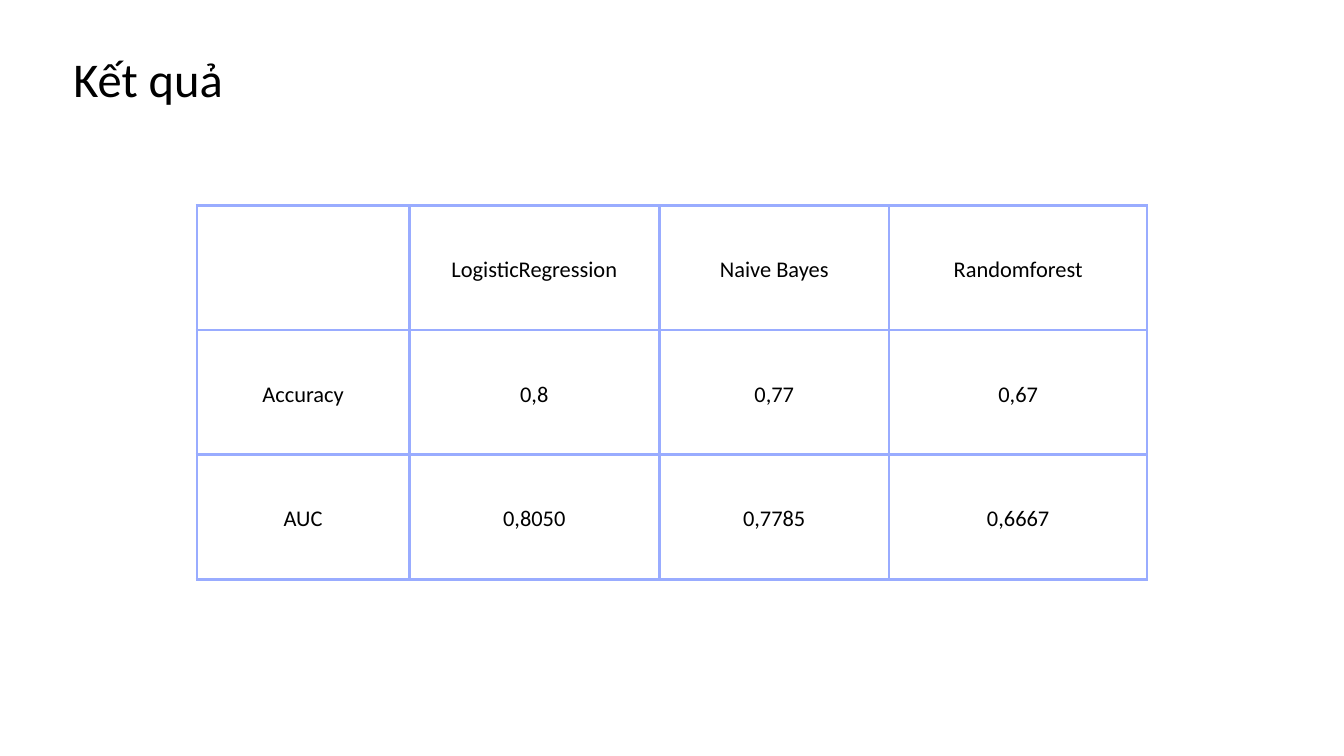
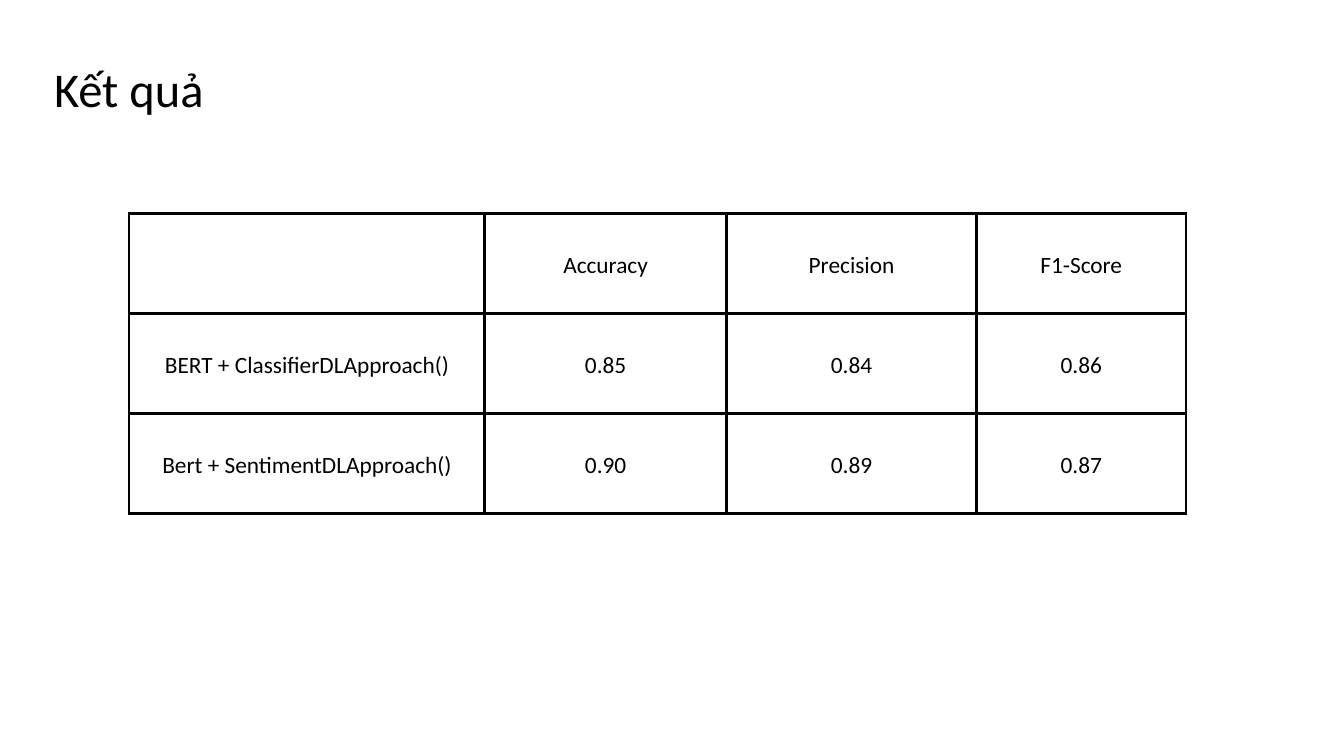
from lxml.etree import SubElement
from pptx import Presentation
from pptx.dml.color import RGBColor
from pptx.enum.text import MSO_ANCHOR, MSO_AUTO_SIZE, PP_ALIGN
from pptx.oxml.ns import qn
from pptx.util import Cm, Pt

# Shared look
FONT = "Calibri"
BLACK = "000000"
TITLE = "Kết quả"
TITLE_SIZE = 52
LINE_SPACING = 1.4
BORDER_WIDTH = Pt(3)
CELL_FORMAT = {
    "vertical_anchor": MSO_ANCHOR.MIDDLE,
    "margin_left": Cm(0.53),
    "margin_right": Cm(0.53),
    "margin_top": Cm(0.53),
    "margin_bottom": Cm(0.53),
}
TITLE_FORMAT = {
    "word_wrap": True,
    "auto_size": MSO_AUTO_SIZE.SHAPE_TO_FIT_TEXT,
    "margin_left": 0,
    "margin_right": 0,
    "margin_top": 0,
    "margin_bottom": 0,
}

# One entry per slide, lengths in centimetres
RESULTS = [
    {
        "title_at": (2.41, 1.5),
        "table_at": (7.44, 7.77),
        "columns": [8.03, 9.45, 8.69, 9.75],
        "row_height": 4.71,
        "border": "99ACFF",
        "size": 24,
        "rows": [
            ["", "LogisticRegression", "Naive Bayes", "Randomforest"],
            ["Accuracy", "0,8", "0,77", "0,67"],
            ["AUC", "0,8050", "0,7785", "0,6667"],
        ],
    },
    {
        "title_at": (1.68, 1.85),
        "table_at": (4.88, 8.08),
        "columns": [13.44, 9.14, 9.45, 7.92],
        "row_height": 3.78,
        "border": BLACK,
        "size": 25,
        "rows": [
            ["", "Accuracy", "Precision", "F1-Score"],
            ["BERT + ClassifierDLApproach()", "0.85", "0.84", "0.86"],
            ["Bert + SentimentDLApproach()", "0.90", "0.89", "0.87"],
        ],
    },
]


def write_text(text_frame, text, size):
    paragraph = text_frame.paragraphs[0]
    paragraph.alignment = PP_ALIGN.CENTER
    paragraph.line_spacing = Pt(size * LINE_SPACING)
    run = paragraph.add_run()
    run.text = text
    run.font.name = FONT
    run.font.size = Pt(size)
    run.font.color.rgb = RGBColor.from_string(BLACK)


def add_borders(cell, color):
    properties = cell._tc.get_or_add_tcPr()
    for position, side in enumerate(["lnL", "lnR", "lnT", "lnB"]):
        line = SubElement(properties, qn(f"a:{side}"), w=str(BORDER_WIDTH))
        fill = SubElement(line, qn("a:solidFill"))
        SubElement(fill, qn("a:srgbClr"), val=color)
        properties.insert(position, line)  # borders come before the cell fill


presentation = Presentation()
presentation.slide_width = Cm(50.8)
presentation.slide_height = Cm(28.58)

for result in RESULTS:
    slide = presentation.slides.add_slide(presentation.slide_layouts[6])

    # Results table
    rows, columns = result["rows"], result["columns"]
    left, top = result["table_at"]
    table = slide.shapes.add_table(
        len(rows), len(columns), Cm(left), Cm(top),
        Cm(sum(columns)), Cm(result["row_height"] * len(rows)),
    ).table
    table.first_row = False
    table.horz_banding = False
    for column, width in zip(table.columns, columns):
        column.width = Cm(width)
    for row, texts in zip(table.rows, rows):
        row.height = Cm(result["row_height"])
        for cell, text in zip(row.cells, texts):
            for name, value in CELL_FORMAT.items():
                setattr(cell, name, value)
            cell.fill.background()
            add_borders(cell, result["border"])
            if text:
                write_text(cell.text_frame, text, result["size"])

    # Title
    left, top = result["title_at"]
    title = slide.shapes.add_textbox(Cm(left), Cm(top), Cm(6.38), Cm(2.46))
    for name, value in TITLE_FORMAT.items():
        setattr(title.text_frame, name, value)
    write_text(title.text_frame, TITLE, TITLE_SIZE)

presentation.save("out.pptx")
